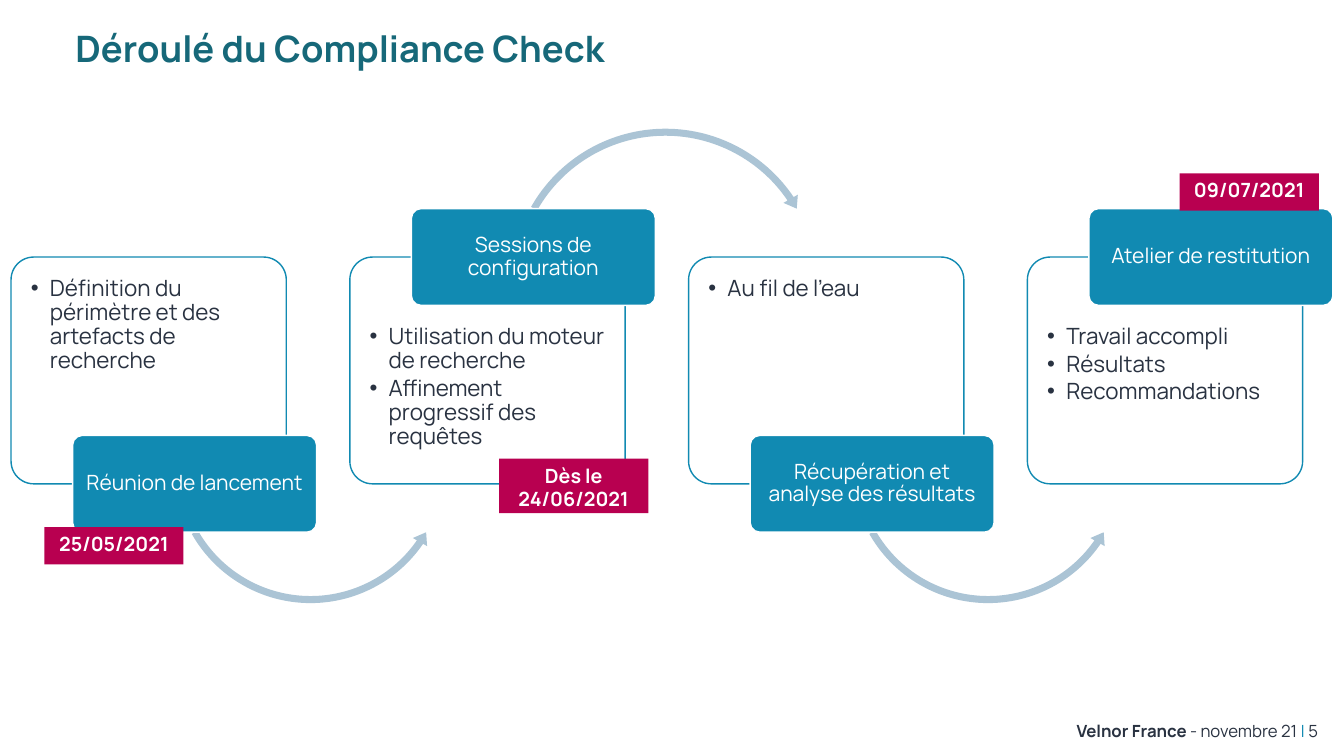
"""Build the compliance check process slide: four steps, linking arrows and date tags."""
from dataclasses import dataclass

from lxml.etree import SubElement
from pptx import Presentation
from pptx.dml.color import RGBColor
from pptx.enum.shapes import MSO_SHAPE as Preset
from pptx.enum.text import MSO_ANCHOR as Anchor, PP_ALIGN as Align
from pptx.oxml.ns import qn
from pptx.util import Inches, Pt

TITLE = "Déroulé du Compliance Check"
FOOTER = [("Velnor France ", True, "ink"), ("- novembre 21 ", False, "ink"),
          ("| ", False, "blue"), ("5", False, "ink")]
STEPS = [
    ("Réunion de lancement", ["Définition du périmètre et des artefacts de recherche"]),
    ("Sessions de configuration",
     ["Utilisation du moteur de recherche", "Affinement progressif des requêtes"]),
    ("Récupération et analyse des résultats", ["Au fil de l’eau"]),
    ("Atelier de restitution", ["Travail accompli", "Résultats", "Recommandations"]),
]
TAGS = [
    (["25/05/2021"], (0.44, 5.23, 1.38, 0.37)),
    (["09/07/2021"], (11.7, 1.72, 1.38, 0.37)),
    (["Dès le", "24/06/2021"], (4.95, 4.55, 1.48, 0.54)),
]


@dataclass(frozen=True)
class Theme:
    font: str = "Manrope"
    ink: str = "293241"
    blue: str = "118AB2"
    teal: str = "166879"
    arrow: str = "ABC4D5"
    tag: str = "B80050"
    white: str = "FFFFFF"
    title_size: float = 26
    body_size: float = 16
    label_size: float = 15
    tag_size: float = 14
    footer_size: float = 12


THEME = Theme()
WIDTH, HEIGHT = 13.33, 7.5
CARD_LEFT, CARD_TOP, CARD_WIDTH, CARD_HEIGHT = 0.11, 2.55, 2.73, 2.25
PITCH = 3.36
LABEL_SHIFT, LABEL_WIDTH, LABEL_HEIGHT = 0.61, 2.42, 0.96
CARD_INSET, LABEL_ROOM, HANG = 0.13, 0.48, 0.19
ARROW_BELOW = (Preset.LEFT_CIRCULAR_ARROW, 2.97, 4.63, 2.8,
               (0.025, 2.99, 20.74, 90.25, 0.029))
ARROW_ABOVE = (Preset.CIRCULAR_ARROW, 3.13, 2.81, 3.16,
               (0.022, 2.64, 195.61, 125.76, 0.026))


def rgb(color):
    return RGBColor.from_string(color)


def add_shape(slide, preset, box, fill, line=None, adjustments=()):
    shape = slide.shapes.add_shape(preset, *map(Inches, box))
    shape.shadow.inherit = False
    shape.fill.solid()
    shape.fill.fore_color.rgb = rgb(fill)
    if line:
        shape.line.color.rgb = rgb(line)
        shape.line.width = Pt(1)
    else:
        shape.line.fill.background()
    for index, value in enumerate(adjustments):
        shape.adjustments[index] = value
    return shape


def set_frame(shape, anchor, margins=(0.1, 0.05, 0.1, 0.05)):
    frame = shape.text_frame
    frame.word_wrap = True
    frame.vertical_anchor = anchor
    (frame.margin_left, frame.margin_top,
     frame.margin_right, frame.margin_bottom) = map(Inches, margins)
    return frame


def write(frame, lines, size, color, align=Align.LEFT, bold=False, spacing=1.0, bullets=False):
    for index, line in enumerate(lines):
        paragraph = frame.paragraphs[0] if index == 0 else frame.add_paragraph()
        paragraph.text = line
        paragraph.alignment = align
        paragraph.line_spacing = spacing
        if bullets:
            properties = paragraph._p.get_or_add_pPr()
            properties.set("marL", str(Inches(HANG)))
            properties.set("indent", str(-Inches(HANG)))
            SubElement(properties, qn("a:buFont")).set("typeface", "Arial")
            SubElement(properties, qn("a:buChar")).set("char", "•")
            paragraph.space_after = Pt(2.5)
        paragraph.font.name = THEME.font
        paragraph.font.size = Pt(size)
        paragraph.font.bold = bold
        paragraph.font.color.rgb = rgb(color)


def add_step(slide, index, label, items):
    left = CARD_LEFT + index * PITCH
    label_above = index % 2 == 1
    card = add_shape(slide, Preset.ROUNDED_RECTANGLE, (left, CARD_TOP, CARD_WIDTH, CARD_HEIGHT),
                     THEME.white, THEME.blue, (0.1,))
    top_inset = CARD_INSET + (LABEL_ROOM if label_above else 0)
    frame = set_frame(card, Anchor.TOP, (CARD_INSET, top_inset, CARD_INSET, CARD_INSET))
    write(frame, items, THEME.body_size, THEME.ink, spacing=0.9, bullets=True)

    if index < len(STEPS) - 1:
        preset, shift, center, size, adjustments = ARROW_ABOVE if label_above else ARROW_BELOW
        add_shape(slide, preset, (left + shift - size / 2, center - size / 2, size, size),
                  THEME.arrow, adjustments=adjustments)

    edge = CARD_TOP if label_above else CARD_TOP + CARD_HEIGHT
    box = (left + LABEL_SHIFT, edge - LABEL_HEIGHT / 2, LABEL_WIDTH, LABEL_HEIGHT)
    plate = add_shape(slide, Preset.ROUNDED_RECTANGLE, box, THEME.blue, THEME.white, (0.1,))
    write(set_frame(plate, Anchor.MIDDLE, (0.03, 0.02, 0.03, 0.02)), [label],
          THEME.label_size, THEME.white, Align.CENTER, spacing=0.9)


def add_footer(slide):
    box = slide.shapes.add_textbox(*map(Inches, (8.54, 7.1, 4.63, 0.3)))
    paragraph = set_frame(box, Anchor.TOP).paragraphs[0]
    paragraph.alignment = Align.RIGHT
    paragraph.font.name = THEME.font
    paragraph.font.size = Pt(THEME.footer_size)
    for text, bold, color in FOOTER:
        run = paragraph.add_run()
        run.text = text
        run.font.bold = bold
        run.font.color.rgb = rgb(getattr(THEME, color))


def main():
    presentation = Presentation()
    presentation.slide_width = Inches(WIDTH)
    presentation.slide_height = Inches(HEIGHT)
    slide = presentation.slides.add_slide(presentation.slide_layouts[6])
    add_footer(slide)
    for index, (label, items) in enumerate(STEPS):
        add_step(slide, index, label, items)
    title = slide.shapes.add_textbox(*map(Inches, (0.65, 0.32, WIDTH - 0.65, 0.37)))
    write(set_frame(title, Anchor.MIDDLE), [TITLE], THEME.title_size, THEME.teal,
          bold=True, spacing=0.9)
    for lines, box in TAGS:
        tag = add_shape(slide, Preset.RECTANGLE, box, THEME.tag)
        write(set_frame(tag, Anchor.TOP), lines, THEME.tag_size, THEME.white,
              Align.CENTER, bold=True)
    presentation.save("out.pptx")


if __name__ == "__main__":
    main()
